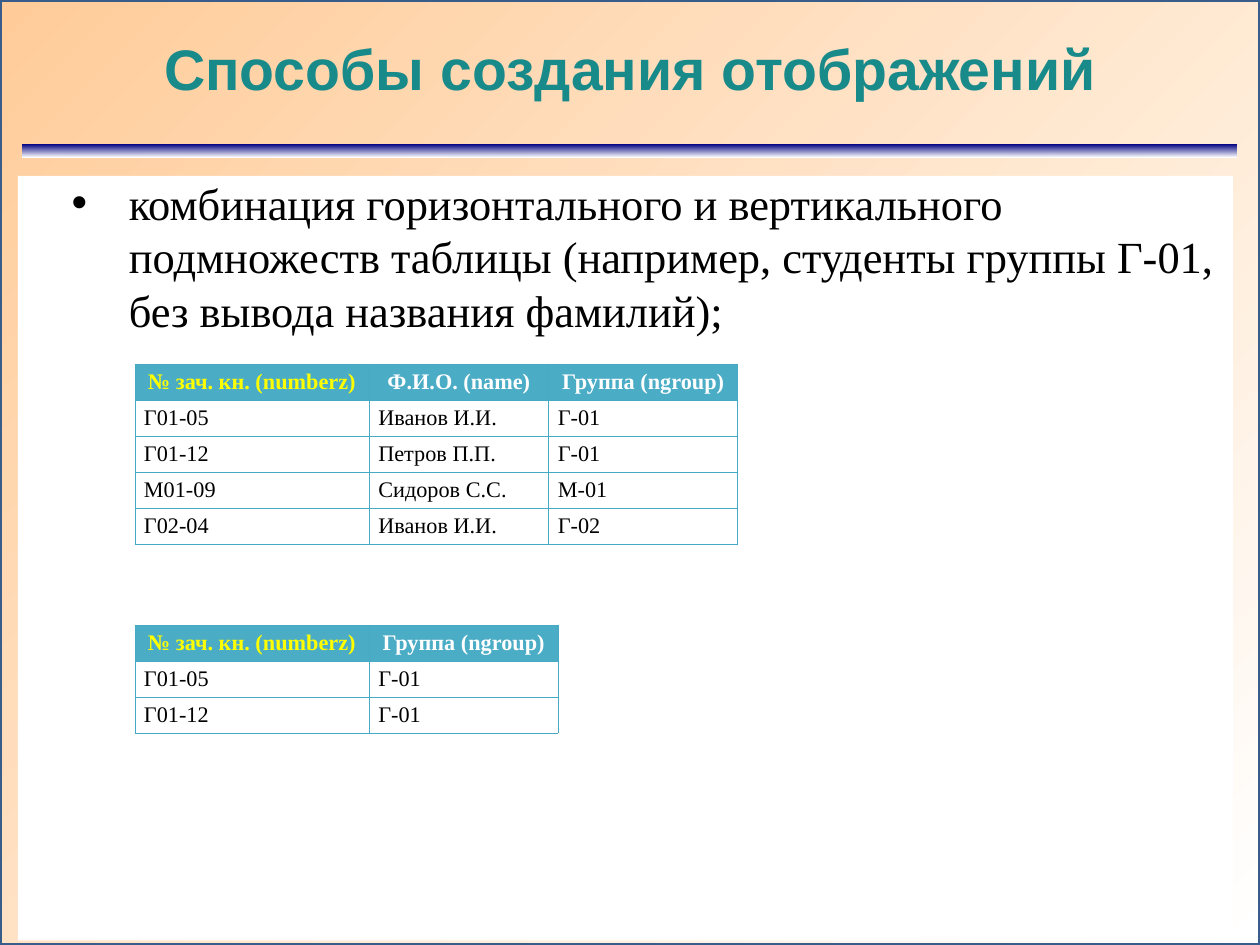
from lxml.etree import SubElement
from pptx import Presentation
from pptx.dml.color import RGBColor
from pptx.enum.shapes import MSO_SHAPE as Preset
from pptx.enum.text import MSO_ANCHOR as Anchor, MSO_AUTO_SIZE as AutoSize, PP_ALIGN as Align
from pptx.oxml.ns import qn
from pptx.util import Emu, Inches, Pt

WIDTH, HEIGHT = Emu(10080625), Emu(7559675)
SERIF, SANS = "Times New Roman", "Arial"
BLACK, WHITE, YELLOW = "000000", "FFFFFF", "FFFF00"
TEAL, HEADER_BLUE, BORDER_BLUE = "198A8A", "4BACC6", "46AAC5"
PEACH, NAVY, FRAME_BLUE = "FFCC99", "000080", "385D8A"

TITLE = "Способы создания отображений"
COMBINATION = ("комбинация горизонтального и вертикального подмножеств таблицы "
               "(например, студенты группы Г-01, без вывода названия фамилий);")
HEADINGS = ("№ зач. кн. (numberz)", "Ф.И.О. (name)", "Группа (ngroup)")
COLUMN_SHARES = (18.6, 14.25, 15)
ROW_SHARE = 2.82
STUDENTS = (
    ("Г01-05", "Иванов И.И.", "Г-01"),
    ("Г01-12", "Петров П.П.", "Г-01"),
    ("М01-09", "Сидоров С.С.", "М-01"),
    ("Г02-04", "Иванов И.И.", "Г-02"),
)


def across(share):
    """Turn a percentage of the slide's width into a length."""
    return int(WIDTH * share / 100)


def down(share):
    """Turn a percentage of the slide's height into a length."""
    return int(HEIGHT * share / 100)


def area(left, top, width, height):
    """Turn percentages of the slide into left, top, width and height."""
    return across(left), down(top), across(width), down(height)


def rgb(code):
    """Turn a hex string into a colour."""
    return RGBColor.from_string(code)


def style(paragraph, size, color, name=SERIF, bold=False, align=Align.LEFT):
    """Format a whole paragraph."""
    paragraph.alignment = align
    font = paragraph.font
    font.size, font.name, font.bold = Pt(size), name, bold
    font.color.rgb = rgb(color)


def add_gradient(slide, depth, place, start, end, angle, outline=None):
    """Add a gradient rectangle at the given depth behind the text."""
    panel = slide.shapes.add_shape(Preset.RECTANGLE, *place)
    panel.shadow.inherit = False
    panel.fill.gradient()
    panel.fill.gradient_angle = angle
    for stop, code in zip(panel.fill.gradient_stops, (start, end)):
        stop.color.rgb = rgb(code)
    if outline:
        panel.line.color.rgb = rgb(outline)
        panel.line.width = Pt(2)
    else:
        panel.line.fill.background()
    slide.shapes.element.insert(2 + depth, panel.element)


def fill_placeholder(holder, place, text, anchor):
    """Move a placeholder, give it text and return its paragraph."""
    holder.left, holder.top, holder.width, holder.height = place
    frame = holder.text_frame
    frame.text = text
    frame.word_wrap = True
    frame.auto_size = AutoSize.NONE
    frame.vertical_anchor = anchor
    frame.margin_left = frame.margin_right = frame.margin_top = frame.margin_bottom = 0
    return frame.paragraphs[0]


def add_bullet(paragraph, left, hanging):
    """Give a paragraph a black hanging bullet."""
    properties = paragraph._p.get_or_add_pPr()
    properties.set("marL", str(left))
    properties.set("indent", str(-hanging))
    SubElement(SubElement(properties, qn("a:buClr")), qn("a:srgbClr"), val=BLACK)
    SubElement(properties, qn("a:buFont"), typeface=SANS)
    SubElement(properties, qn("a:buChar"), char="•")


def add_borders(cell):
    """Draw a thin line on each side of a cell."""
    properties = cell._tc.get_or_add_tcPr()
    for side in "LRTB":
        line = SubElement(properties, qn(f"a:ln{side}"), w=str(Pt(0.34)))
        SubElement(SubElement(line, qn("a:solidFill")), qn("a:srgbClr"), val=BORDER_BLUE)


def fill_cell(cell, text, is_header, is_key):
    """Write and format one table cell."""
    add_borders(cell)
    cell.fill.solid()
    cell.fill.fore_color.rgb = rgb(HEADER_BLUE if is_header else WHITE)
    cell.margin_left = cell.margin_right = Inches(0.08)
    cell.margin_top = cell.margin_bottom = Inches(0.05)
    cell.text = text
    header_color = YELLOW if is_key else WHITE
    style(cell.text_frame.paragraphs[0], 14, header_color if is_header else BLACK,
          bold=is_header, align=Align.CENTER if is_header else Align.LEFT)


def add_students(slide, top, fields, students):
    """Add a table of the chosen fields of the chosen students."""
    records = [HEADINGS, *students]
    shares = [COLUMN_SHARES[field] for field in fields]
    place = area(10.7, top, sum(shares), ROW_SHARE * len(records))
    table = slide.shapes.add_table(len(records), len(fields), *place).table
    for column, share in zip(table.columns, shares):
        column.width = across(share)
    for r, record in enumerate(records):
        table.rows[r].height = down(ROW_SHARE)
        for c, field in enumerate(fields):
            fill_cell(table.cell(r, c), record[field], r == 0, field == 0)


def main():
    """Build the slide and save it."""
    deck = Presentation()
    deck.slide_width, deck.slide_height = WIDTH, HEIGHT
    slide = deck.slides.add_slide(deck.slide_layouts[1])

    add_gradient(slide, 0, area(0, 0, 100, 100), WHITE, PEACH, 135, FRAME_BLUE)
    add_gradient(slide, 1, area(1.78, 15.24, 96.43, 1.45), NAVY, WHITE, 270)

    heading = fill_placeholder(slide.shapes.title, area(1.78, 2.42, 96.43, 9.55),
                               TITLE, Anchor.MIDDLE)
    style(heading, 36, TEAL, SANS, True, Align.CENTER)

    body = slide.placeholders[1]
    body.fill.solid()
    body.fill.fore_color.rgb = rgb(WHITE)
    method = fill_placeholder(body, area(1.43, 18.62, 96.43, 80.89), COMBINATION, Anchor.TOP)
    add_bullet(method, Inches(0.97), Inches(0.5))
    method.space_before = Pt(0)
    method.line_spacing = 1.0
    style(method, 28, BLACK)

    add_students(slide, 38.55, (0, 1, 2), STUDENTS)
    group = [student for student in STUDENTS if student[2] == "Г-01"]
    add_students(slide, 66.14, (0, 2), group)

    deck.save("out.pptx")


if __name__ == "__main__":
    main()
